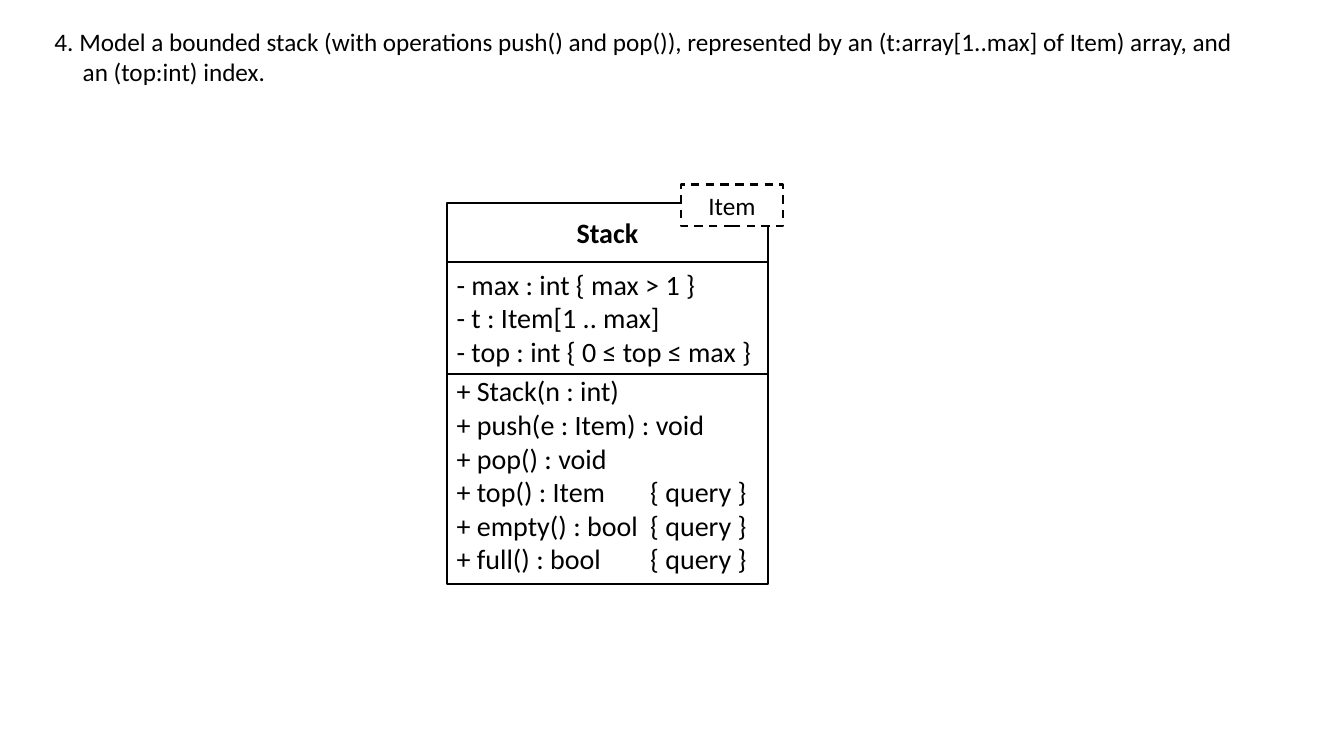
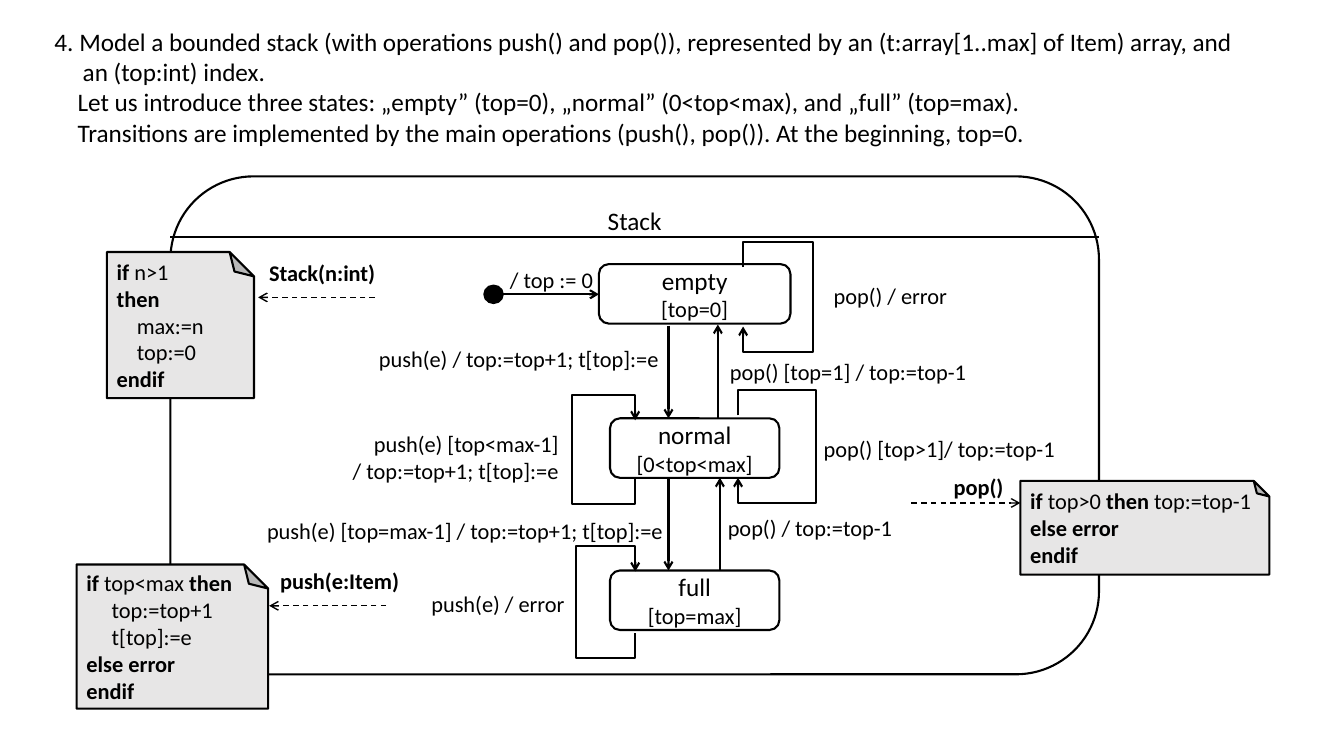
from lxml import etree
from pptx import Presentation
from pptx import util as u
from pptx.dml.color import RGBColor
from pptx.enum import dml, shapes, text
from pptx.oxml import ns

FONT = "Calibri"
BLACK, WHITE, NOTE_GREY = "000000", "FFFFFF", "E7E6E6"
LEFT, CENTER, RIGHT = text.PP_ALIGN.LEFT, text.PP_ALIGN.CENTER, text.PP_ALIGN.RIGHT
TOP, MIDDLE = text.MSO_ANCHOR.TOP, text.MSO_ANCHOR.MIDDLE
RECT, ROUNDED = shapes.MSO_SHAPE.RECTANGLE, shapes.MSO_SHAPE.ROUNDED_RECTANGLE


def color(value):
    return RGBColor.from_string(value)


def inches(*values):
    return [u.Inches(value) for value in values]


class Diagram:
    def __init__(self):
        self.deck = Presentation()
        self.deck.slide_width, self.deck.slide_height = inches(13.33, 7.5)
        self.slide = None

    def new_slide(self, question, *details):
        self.slide = self.deck.slides.add_slide(self.deck.slide_layouts[5])
        title = self.slide.shapes.title
        title.left, title.top, title.width, title.height = inches(
            0.44, 0.21, 12.09, 0.71 + 0.3 * len(details))
        frame = title.text_frame
        frame.auto_size = text.MSO_AUTO_SIZE.NONE
        frame.word_wrap = True
        frame.vertical_anchor = TOP
        for index, line in enumerate((question,) + details):
            paragraph = frame.add_paragraph() if index else frame.paragraphs[0]
            paragraph.text = line
            self.style(paragraph, 18, LEFT)
            self.indent(paragraph, 0.23 if index else 0.28, 0 if index else -0.28)

    def style(self, paragraph, size, align, bold=False):
        paragraph.alignment = align
        font = paragraph.font
        font.name, font.size, font.bold = FONT, u.Pt(size), bold
        font.color.rgb = color(BLACK)

    def indent(self, paragraph, margin, first=0):
        properties = paragraph._p.get_or_add_pPr()
        properties.set("marL", str(u.Inches(margin)))
        properties.set("indent", str(u.Inches(first)))

    def add_lines(self, frame, lines, sizes, align=LEFT, bold=False, indent=0):
        for index, line in enumerate(lines):
            paragraph = frame.add_paragraph() if index else frame.paragraphs[0]
            self.style(paragraph, sizes[min(index, len(sizes) - 1)], align, bold)
            if line.startswith("\t"):
                self.indent(paragraph, indent)
            for part, words in enumerate(line.lstrip("\t").split("*")):
                if words:
                    run = paragraph.add_run()
                    run.text = words
                    if part % 2:
                        run.font.bold = True

    def outline(self, item, width=1.5, dashed=False, arrow=False):
        item.line.color.rgb = color(BLACK)
        item.line.width = u.Pt(width)
        if dashed:
            item.line.dash_style = dml.MSO_LINE.DASH
        if arrow:
            etree.SubElement(item.line._get_or_add_ln(), ns.qn("a:tailEnd"), type="arrow")

    def shape(self, kind, box, lines=(), sizes=(18,), fill=None, anchor=MIDDLE,
              width=1.5, dashed=False):
        shape = self.slide.shapes.add_shape(kind, *inches(*box))
        shape.shadow.inherit = False
        if fill:
            shape.fill.solid()
            shape.fill.fore_color.rgb = color(fill)
        else:
            shape.fill.background()
        self.outline(shape, width, dashed)
        shape.text_frame.vertical_anchor = anchor
        self.add_lines(shape.text_frame, lines, sizes, CENTER)
        return shape

    def label(self, box, *lines, size=16, align=LEFT, bold=False, indent=0, anchor=TOP):
        frame = self.slide.shapes.add_textbox(*inches(*box)).text_frame
        frame.word_wrap = True
        frame.vertical_anchor = anchor
        self.add_lines(frame, lines, (size,), align, bold, indent)
        return frame

    def line(self, x1, y1, x2, y2, width=1.5, dashed=False, arrow=True):
        connector = self.slide.shapes.add_connector(
            shapes.MSO_CONNECTOR.STRAIGHT, *inches(x1, y1, x2, y2))
        self.outline(connector, width, dashed, arrow)
        etree.SubElement(connector._element.spPr, ns.qn("a:effectLst"))

    def loop(self, x, start, end, side, reach=0.25):
        step = reach if start > end else -reach
        points = [(x, start), (x, start + step), (side, start + step),
                  (side, end - step), (x, end - step), (x, end)]
        corners = [inches(*point) for point in points]
        builder = self.slide.shapes.build_freeform(*corners[0])
        builder.add_line_segments(corners[1:], close=False)
        bend = builder.convert_to_shape()
        bend.shadow.inherit = False
        bend.fill.background()
        self.outline(bend, arrow=True)

    def state(self, left, top, width, name, condition):
        self.shape(ROUNDED, (left, top, width, 0.59), (name, condition), (18, 16), WHITE)

    def note(self, box, *lines, indent=0):
        left, top, width, height = box
        turned = (left + (width - height) / 2, top + (height - width) / 2, height, width)
        self.shape(shapes.MSO_SHAPE.FOLDED_CORNER, turned, fill=NOTE_GREY).rotation = 270
        self.label(box, *lines, indent=indent, anchor=MIDDLE)


QUESTION = ("4. Model a bounded stack (with operations push() and pop()), represented by an "
            "(t:array[1..max] of Item) array, and\van (top:int) index.")

diagram = Diagram()

diagram.new_slide(QUESTION)
diagram.shape(RECT, (4.43, 2.01, 3.19, 3.78))
diagram.shape(RECT, (4.43, 2.6, 3.19, 1.11))
diagram.label((5.62, 2.09, 0.9, 0.44), "Stack", size=20, bold=True)
diagram.label((4.43, 2.6, 3.22, 1.11), "- max : int { max > 1 }", "- t : Item[1 .. max]",
              "- top : int { 0 ≤ top ≤ max }", size=20)
operations = diagram.label(
    (4.43, 3.66, 3.22, 2.12), "+ Stack(n : int)", "+ push(e : Item) : void", "+ pop() : void",
    "+ top() : Item\t{ query }", "+ empty() : bool\t{ query }", "+ full() : bool\t{ query }",
    size=20)
for operation in operations.paragraphs[3:]:
    stops = etree.Element(ns.qn("a:tabLst"))
    etree.SubElement(stops, ns.qn("a:tab"), pos=str(u.Inches(1.92)), algn="l")
    operation._p.get_or_add_pPr().insert(0, stops)
diagram.shape(RECT, (6.75, 1.83, 1.02, 0.41), ("Item",), fill=WHITE, dashed=True)

diagram.new_slide(
    QUESTION,
    "Let us introduce three states: „empty” (top=0), „normal” (0<top<max), and „full” (top=max).",
    "Transitions are implemented by the main operations (push(), pop()). At the beginning, top=0.")
diagram.shape(ROUNDED, (1.69, 1.75, 9.21, 4.94), ("Stack",), anchor=TOP)
diagram.line(1.69, 2.35, 10.9, 2.35, arrow=False)

diagram.state(5.94, 2.62, 1.9, "empty", "[top=0]")
diagram.state(6.05, 4.15, 1.68, "normal", "[0<top<max]")
diagram.state(6.05, 5.66, 1.68, "full", "[top=max]")
diagram.shape(shapes.MSO_SHAPE.OVAL, (4.8, 2.83, 0.19, 0.18), fill=BLACK, width=1)

for transition in [
    (4.99, 2.92, 5.94, 2.92),
    (6.63, 3.23, 6.63, 4.15),
    (7.12, 4.15, 7.12, 3.22),
    (6.63, 4.74, 6.63, 5.66),
    (7.14, 5.66, 7.14, 4.74),
]:
    diagram.line(*transition)

for self_transition in [
    (7.37, 2.65, 3.24, 8.06),
    (7.32, 4.12, 4.74, 8.09),
    (6.3, 4.75, 4.17, 5.67),
    (6.3, 6.28, 5.67, 5.71),
]:
    diagram.loop(*self_transition)

for left, top, width, action in [
    (4.96, 2.59, 1.04, "/ top := 0"),
    (3.66, 3.37, 3.01, "push(e) / top:=top+1; t[top]:=e"),
    (2.55, 5.08, 4.18, "push(e) [top=max-1] / top:=top+1; t[top]:=e"),
    (7.14, 3.5, 2.68, "pop() [top=1] / top:=top-1"),
    (7.12, 5.05, 1.9, "pop() / top:=top-1"),
    (8.07, 4.27, 2.53, "pop() [top>1]/ top:=top-1"),
    (8.17, 2.75, 1.34, "pop() / error"),
    (4.18, 5.81, 1.54, "push(e) / error"),
]:
    diagram.label((left, top, width, 0.37), action)
diagram.label((3.27, 4.22, 2.37, 0.64), "push(e) [top<max-1]", "/ top:=top+1; t[top]:=e",
              align=RIGHT)

diagram.note((1.06, 2.5, 1.46, 1.45), "*if* n>1", "*then*", "\tmax:=n", "\ttop:=0", "*endif*",
             indent=0.2)
diagram.note((0.76, 5.6, 1.9, 1.43), "*if* top<max *then*", "\ttop:=top+1", "\tt[top]:=e",
             "*else error*", "*endif*", indent=0.25)
diagram.note((10.12, 4.77, 2.47, 0.93), "*if* top>0 *then* top:=top-1", "*else error*", "*endif*")

for left, top, width, operation, start, end, y in [
    (2.57, 2.52, 1.27, "Stack(n:int)", 3.72, 2.56, 2.95),
    (2.68, 5.58, 1.4, "push(e:Item)", 3.83, 2.67, 6.01),
    (9.36, 4.64, 0.76, "pop()", 9.04, 10.12, 4.99),
]:
    diagram.label((left, top, width, 0.37), operation, bold=True)
    diagram.line(start, y, end, y, width=1, dashed=True)

diagram.deck.save("out.pptx")
